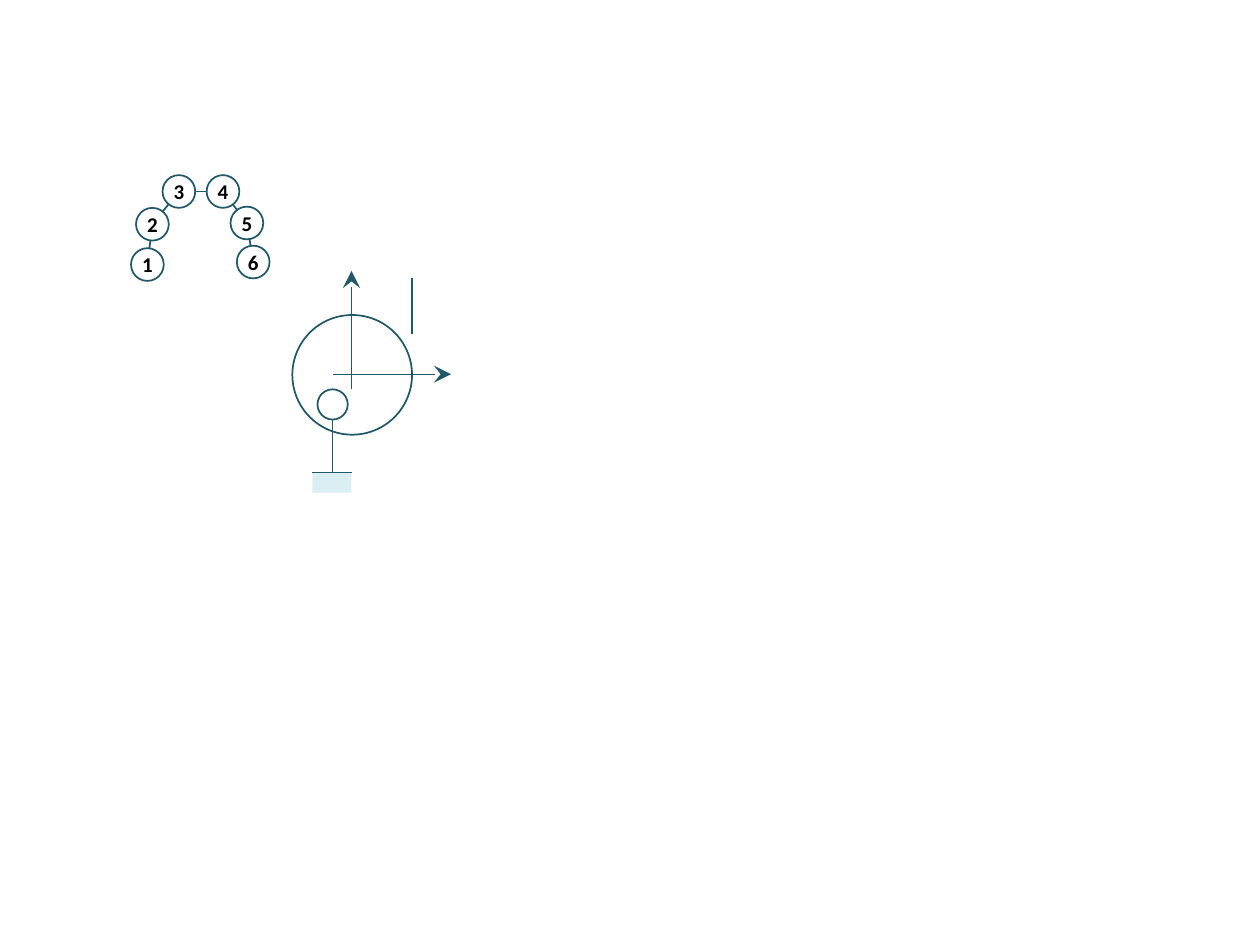
import pptx
import pptx.dml.color
import pptx.enum.shapes
import pptx.enum.text
import pptx.oxml
import pptx.oxml.ns
import pptx.util

COLORS = {"line": "215968", "paper": "FFFFFF", "base": "DBEEF4", "text": "000000"}
COLS, ROWS = 1000, 750
LABEL = {"size": pptx.util.Pt(12), "bold": True, "name": "Calibri"}
FRAME = {"margin_left": 0, "margin_top": 0, "margin_right": 0, "margin_bottom": 0,
         "vertical_anchor": pptx.enum.text.MSO_ANCHOR.MIDDLE, "word_wrap": False}
SHAPE = pptx.enum.shapes.MSO_SHAPE

prs = pptx.Presentation()
prs.slide_width, prs.slide_height = pptx.util.Inches(10), pptx.util.Inches(7.5)
CELL_W, CELL_H = prs.slide_width // COLS, prs.slide_height // ROWS


def rgb(key):
    """Return the named colour."""
    return pptx.dml.color.RGBColor.from_string(COLORS[key])


def place(box, col, row):
    """Convert a grid cell inside a box to slide lengths."""
    return (box[0] + col) * CELL_W, (box[1] + row) * CELL_H


def set_all(obj, values):
    """Set each attribute of an object from a dict."""
    for name, value in values.items():
        setattr(obj, name, value)


def add_line(s, box, start, end, width=1, arrow=False):
    """Draw a straight line, with a stealth head if asked."""
    sp = s.shapes.add_connector(pptx.enum.shapes.MSO_CONNECTOR.STRAIGHT,
                                *place(box, *start), *place(box, *end))
    sp.line.color.rgb = rgb("line")
    sp.line.width = pptx.util.Pt(width)
    if arrow:
        head = pptx.oxml.parse_xml(
            f'<a:tailEnd {pptx.oxml.ns.nsdecls("a")} type="stealth" w="lg" len="lg"/>')
        sp.line._get_or_add_ln().append(head)
    sp._element.spPr.append(
        pptx.oxml.parse_xml(f'<a:effectLst {pptx.oxml.ns.nsdecls("a")}/>'))


def add_block(s, box, kind, corner, size, fill="paper", outline=True):
    """Draw a filled preset shape."""
    sp = s.shapes.add_shape(kind, *place(box, *corner), size[0] * CELL_W, size[1] * CELL_H)
    sp.shadow.inherit = False
    sp.fill.solid()
    sp.fill.fore_color.rgb = rgb(fill)
    if outline:
        sp.line.color.rgb = rgb("line")
        sp.line.width = pptx.util.Pt(1)
    else:
        sp.line.fill.background()
    return sp


def add_chain(s, box):
    """Draw the arch of numbered, linked nodes."""
    size = 26
    corners = [(0, 58), (4, 26), (25, 0), (60, 0), (79, 25), (84, 56)]
    centres = [(x + size / 2, y + size / 2) for x, y in corners]
    for start, end in zip(centres, centres[1:]):
        add_line(s, box, start, end)
    for number, corner in enumerate(corners, 1):
        tf = add_block(s, box, SHAPE.OVAL, corner, (size, size)).text_frame
        set_all(tf, FRAME)
        p = tf.paragraphs[0]
        p.alignment = pptx.enum.text.PP_ALIGN.CENTER
        r = p.add_run()
        r.text = str(number)
        set_all(r.font, LABEL)
        r.font.color.rgb = rgb("text")


def add_wheel(s, box):
    """Draw the wheel on its stand with both axes and the hanging line."""
    add_block(s, box, SHAPE.OVAL, (0, 35), (95, 95))
    add_line(s, box, (32, 118), (32, 160))
    add_block(s, box, SHAPE.RECTANGLE, (16, 160), (31, 16), "base", False)
    add_line(s, box, (47, 160), (16, 160))
    add_block(s, box, SHAPE.OVAL, (20, 94), (24, 24))
    add_line(s, box, (95, 6), (95, 50))
    for start, end in (((32, 82), (126, 82)), ((47, 94), (47, 0))):
        add_line(s, box, start, end, 0.75, True)


s = prs.slides.add_slide(prs.slide_layouts[6])
add_chain(s, (104, 139))
add_wheel(s, (232, 215))
prs.save("out.pptx")
